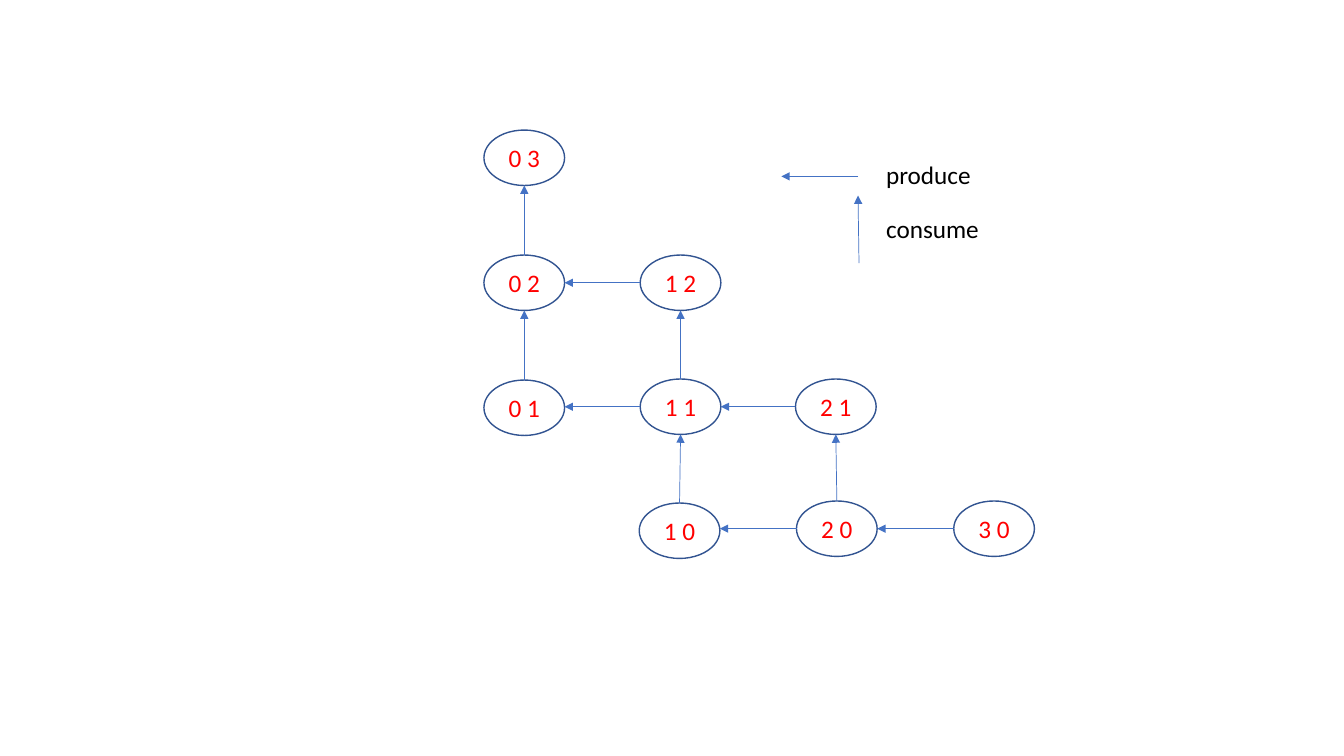
from lxml.etree import SubElement
from pptx import Presentation
from pptx.dml.color import RGBColor
from pptx.enum.shapes import MSO_CONNECTOR, MSO_SHAPE
from pptx.enum.text import MSO_ANCHOR, PP_ALIGN
from pptx.oxml.ns import qn
from pptx.util import Inches, Pt


def write(shape, text, color):
    shape.text_frame.text = text
    font = shape.text_frame.paragraphs[0].runs[0].font
    font.name = "Calibri"
    font.size = Pt(18)
    font.color.rgb = RGBColor.from_string(color)


def add_arrow(start, end):
    x1, y1 = start
    x2, y2 = end
    arrow = slide.shapes.add_connector(
        MSO_CONNECTOR.STRAIGHT, Inches(x1), Inches(y1), Inches(x2), Inches(y2))
    arrow.line.color.rgb = RGBColor.from_string("4472C4")
    arrow.line.width = Pt(0.5)
    SubElement(arrow.line._get_or_add_ln(), qn("a:tailEnd"), type="triangle")
    SubElement(arrow._element.spPr, qn("a:effectLst"))


presentation = Presentation()
presentation.slide_width = Inches(13.33)
presentation.slide_height = Inches(7.5)
slide = presentation.slides.add_slide(presentation.slide_layouts[6])

node_width, node_height = 0.8, 0.55
nodes = {
    (3, 0): (9.46, 4.97),
    (2, 0): (7.9, 4.97),
    (1, 0): (6.34, 4.99),
    (2, 1): (7.89, 3.76),
    (1, 1): (6.35, 3.76),
    (1, 2): (6.35, 2.53),
    (0, 1): (4.8, 3.77),
    (0, 2): (4.8, 2.53),
    (0, 3): (4.8, 1.29),
}

for (column, row), (left, top) in nodes.items():
    node = slide.shapes.add_shape(
        MSO_SHAPE.OVAL, Inches(left), Inches(top), Inches(node_width), Inches(node_height))
    node.shadow.inherit = False
    node.fill.background()
    node.line.color.rgb = RGBColor.from_string("325491")
    node.line.width = Pt(1)
    write(node, f"{column} {row}", "FF0000")
    node.text_frame.vertical_anchor = MSO_ANCHOR.MIDDLE
    node.text_frame.paragraphs[0].alignment = PP_ALIGN.CENTER

for (column, row), (left, top) in nodes.items():
    producer = nodes.get((column - 1, row))
    if producer:
        middle = top + node_height / 2
        add_arrow((left, middle), (producer[0] + node_width, middle))
    consumer = nodes.get((column, row + 1))
    if consumer:
        add_arrow((left + node_width / 2, top),
                  (consumer[0] + node_width / 2, consumer[1] + node_height))

legend = [
    ("produce", 1.53, 1.05, (8.51, 1.75), (7.75, 1.75)),
    ("consume", 2.07, 1.13, (8.52, 2.61), (8.51, 1.94)),
]
for text, top, width, start, end in legend:
    add_arrow(start, end)
    label = slide.shapes.add_textbox(Inches(8.69), Inches(top), Inches(width), Inches(0.4))
    label.text_frame.word_wrap = False
    write(label, text, "000000")

presentation.save("out.pptx")
